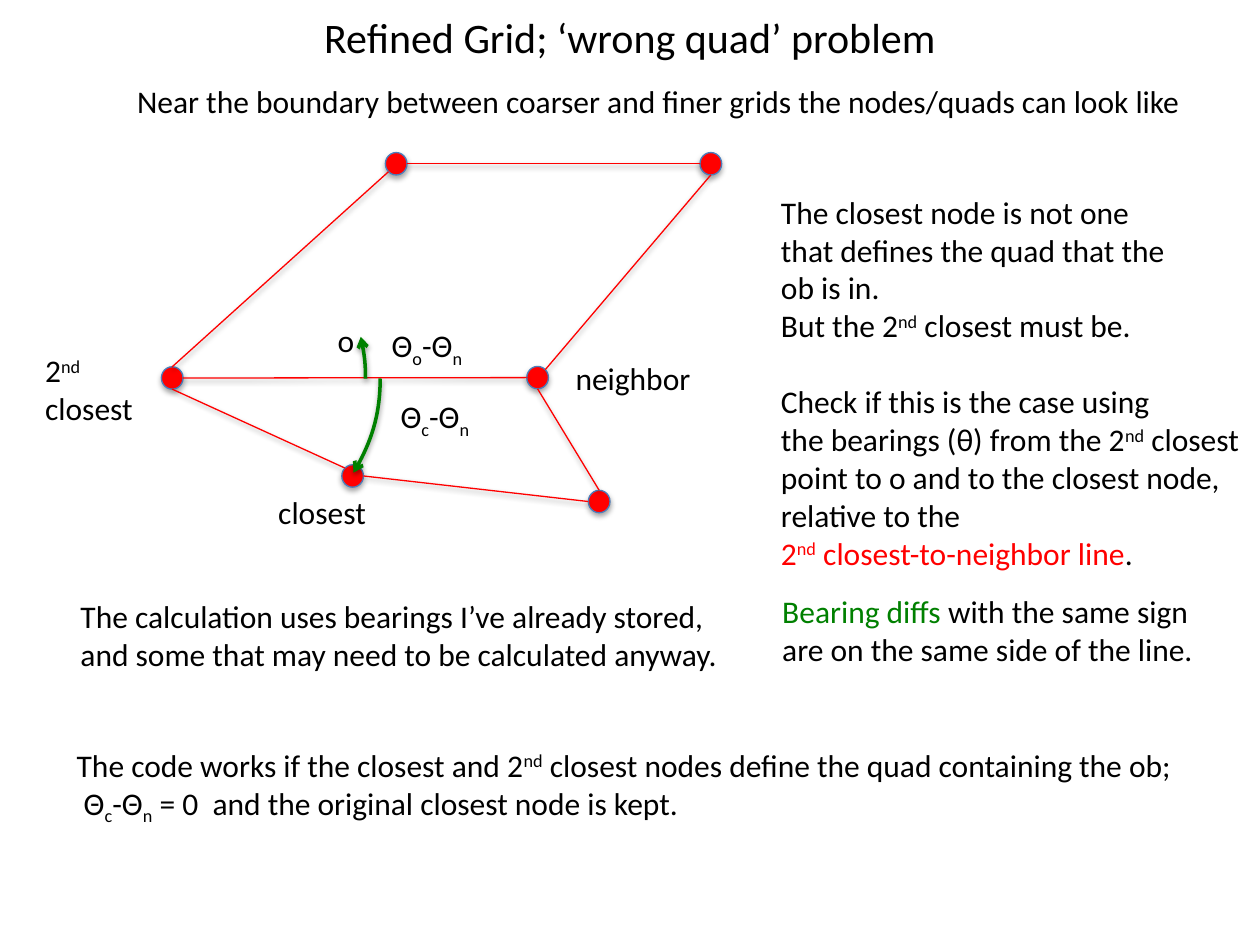
from lxml import etree
from pptx import Presentation
from pptx.dml.color import RGBColor
from pptx.enum import shapes, text
from pptx.oxml.ns import qn
from pptx.util import Pt

HUES = {"ink": "000000", "red": "FF0000", "green": "008000", "rim": "4B7EBC"}
FONT = "Calibri"
BASE = {"sup": "30000", "sub": "-25000"}

ND = ("nd", "sup")
C, N, O = ("c", "sub"), ("n", "sub"), ("o", "sub")

TITLE = ((36, 0, 648, 41.8), [["Refined Grid; ‘wrong quad’ problem"]])
NOTES = [
    ((71.3, 43.2, 617.8, 29), [["Near the boundary between coarser and finer grids the nodes/quads can look like"]]),
    ((185.8, 180, 23, 29), [["o"]]),
    ((151.9, 277.9, 65.5, 29), [["closest"]]),
    ((18.7, 197.3, 65.5, 51), [["2", ND], ["closest"]]),
    ((439.2, 106.6, 280.8, 139), [
        ["The closest node is not one"],
        ["that defines the quad that the"],
        ["ob is in."],
        ["But the 2", ND, " closest must be."],
        ["Check if this is the case using"],
        ["the bearings (θ) from the 2", ND, " closest"],
        ["point to o and to the closest node,"],
        ["relative to the"],
        [("2", "red"), ("nd", "red", "sup"), (" closest-to-neighbor line", "red"), "."],
    ]),
    ((321.8, 201.6, 80.6, 29), [["neighbor"]]),
    ((439.9, 334.8, 255.6, 51), [
        [("Bearing diffs", "green"), " with the same sign"],
        ["are on the same side of the line."],
    ]),
    ((38.9, 337.7, 385.2, 51), [
        ["The calculation uses bearings I’ve already stored,"],
        ["and some that may need to be calculated anyway."],
    ]),
    ((221.8, 223.2, 55.4, 51), [["Θ", C, "-Θ", N]]),
    ((36.7, 422.6, 649.4, 51), [
        ["The code works if the closest and 2", ND, " closest nodes define the quad containing the ob;"],
        [" Θ", C, "-Θ", N, " = 0  and the original closest node is kept."],
    ]),
    ((216.7, 182.9, 56.9, 29), [["Θ", O, "-Θ", N]]),
]
GAPS = {"Check if this is the case using": 22}

NODE = (12.4, 12.8)
NODES = {
    "second": (98.4, 216),
    "upper": (226.4, 93.6),
    "corner": (406.2, 93.6),
    "near": (307.2, 215.8),
    "closest": (201.5, 272),
    "lower": (342.4, 286.6),
}
SIDES = {
    "top": (0, -1), "bottom": (0, 1), "left": (-1, 0), "right": (1, 0),
    "top left": (-0.71, -0.71), "top right": (0.71, -0.71), "bottom left": (-0.71, 0.71),
}
EDGES = [
    ("upper", "right", "corner", "left"),
    ("near", "top right", "corner", "bottom"),
    ("closest", "right", "lower", "left"),
    ("near", "bottom", "lower", "top"),
    ("second", "bottom", "closest", "top left"),
    ("second", "right", "near", "left"),
    ("second", "top", "upper", "bottom left"),
]
ARCS = [
    ((-5.6, 101.5, 216, 229.7), 90, (162, 179.02), "tailEnd"),
    ((-30.1, 103, 239, 226.8), 0, (209.05, 0), "headEnd"),
]


def hue(key):
    return RGBColor.from_string(HUES[key])


def stroke(item, key, width):
    item.line.color.rgb = hue(key)
    item.line.width = Pt(width)


def shade(item, alpha, dist):
    props = item._element.spPr
    for old in props.findall(qn("a:effectLst")):
        props.remove(old)
    fx = etree.SubElement(props, qn("a:effectLst"))
    drop = etree.SubElement(fx, qn("a:outerShdw"), blurRad=str(Pt(3.1)),
                            dist=str(Pt(dist)), dir="5400000", rotWithShape="0")
    tint = etree.SubElement(drop, qn("a:srgbClr"), val=HUES["ink"])
    etree.SubElement(tint, qn("a:alpha"), val=str(alpha * 1000))


def write(slide, box, lines, size=18):
    shape = slide.shapes.add_textbox(*map(Pt, box))
    frame = shape.text_frame
    frame.word_wrap = False
    frame.auto_size = text.MSO_AUTO_SIZE.SHAPE_TO_FIT_TEXT
    for i, line in enumerate(lines):
        para = frame.paragraphs[0] if i == 0 else frame.add_paragraph()
        if line[0] in GAPS:
            para.space_before = Pt(GAPS[line[0]])
        for part in line:
            words, *marks = (part,) if isinstance(part, str) else part
            run = para.add_run()
            run.text = words
            run.font.name = FONT
            run.font.size = Pt(size)
            run.font.color.rgb = hue(next((m for m in marks if m in HUES), "ink"))
            for mark in marks:
                if mark in BASE:
                    run.font._element.set("baseline", BASE[mark])
    return frame


def site(name, side):
    return [Pt(mid + way * full / 2)
            for mid, way, full in zip(NODES[name], SIDES[side], NODE)]


def main():
    deck = Presentation()
    deck.slide_width, deck.slide_height = Pt(720), Pt(540)
    slide = deck.slides.add_slide(deck.slide_layouts[6])

    head = write(slide, *TITLE, size=24)
    head.auto_size = text.MSO_AUTO_SIZE.NONE
    head.word_wrap = True
    head.vertical_anchor = text.MSO_ANCHOR.MIDDLE
    head.paragraphs[0].alignment = text.PP_ALIGN.CENTER

    wide, high = NODE
    for x, y in NODES.values():
        dot = slide.shapes.add_shape(shapes.MSO_SHAPE.OVAL, Pt(x - wide / 2),
                                     Pt(y - high / 2), Pt(wide), Pt(high))
        dot.fill.solid()
        dot.fill.fore_color.rgb = hue("red")
        stroke(dot, "rim", 0.75)
        shade(dot, 35, 1.8)

    for start, out, end, into in EDGES:
        edge = slide.shapes.add_connector(shapes.MSO_CONNECTOR.STRAIGHT,
                                          *site(start, out), *site(end, into))
        stroke(edge, "red", 0.75)
        shade(edge, 38, 1.6)

    for box, lines in NOTES:
        write(slide, box, lines)

    for box, turn, angles, tip in ARCS:
        arc = slide.shapes.add_shape(shapes.MSO_SHAPE.ARC, *map(Pt, box))
        arc.rotation = turn
        arc.adjustments[0], arc.adjustments[1] = angles
        arc.fill.background()
        stroke(arc, "green", 2)
        etree.SubElement(arc.line._get_or_add_ln(), qn(f"a:{tip}"), type="arrow")
        shade(arc, 38, 1.6)

    deck.save("out.pptx")


if __name__ == "__main__":
    main()
